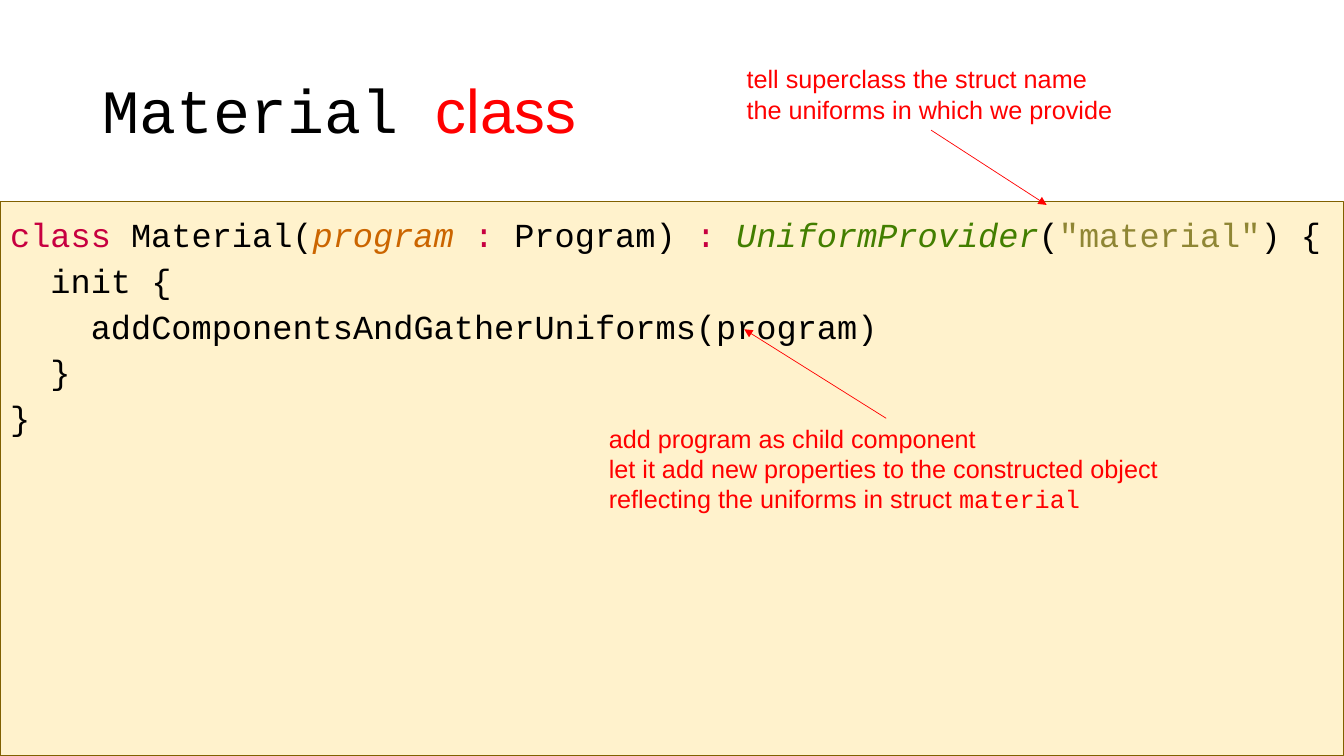
from collections import namedtuple
from dataclasses import dataclass

from lxml import etree
from pptx import Presentation
from pptx import util as u
from pptx.dml.color import RGBColor
from pptx.enum import shapes, text
from pptx.oxml import ns

Box = namedtuple("Box", "left top width height")
WIDTH, HEIGHT = u.Inches(13.33), u.Inches(7.5)
COLUMNS, ROWS = 160, 90


@dataclass(frozen=True)
class Theme:
    """Colours, fonts and sizes of the slide."""

    sans: str = "Arial"
    mono: str = "Courier New"
    title_size: int = 44
    code_size: int = 24
    note_size: int = 18
    ink: str = "000000"
    accent: str = "FF0000"
    panel: str = "FFF2CC"
    border: str = "806000"
    keyword: str = "C70040"
    parameter: str = "CB6500"
    supertype: str = "427E00"
    literal: str = "8F8634"


THEME = Theme()
TITLE = [
    ("Material ", THEME.ink, {"name": THEME.mono}),
    ("class", THEME.accent, {"name": THEME.sans}),
]
CODE = [
    [
        ("class ", THEME.keyword, {}),
        ("Material(", THEME.ink, {}),
        ("program ", THEME.parameter, {"italic": True}),
        (": ", THEME.keyword, {}),
        ("Program) ", THEME.ink, {}),
        (": ", THEME.keyword, {}),
        ("UniformProvider", THEME.supertype, {"italic": True}),
        ("(", THEME.ink, {}),
        ('"material"', THEME.literal, {}),
        (") {", THEME.ink, {}),
    ],
    [("  init {", THEME.ink, {})],
    [("    addComponentsAndGatherUniforms(program)", THEME.ink, {})],
    [("  }", THEME.ink, {})],
    [("}", THEME.ink, {})],
]
CHILD_NOTE = [
    [("add program as child component", THEME.accent, {})],
    [("let it add new properties to the constructed object", THEME.accent, {})],
    [
        ("reflecting the uniforms in struct ", THEME.accent, {}),
        ("material", THEME.accent, {"name": THEME.mono}),
    ],
]
STRUCT_NOTE = [
    [("tell superclass the struct name", THEME.accent, {})],
    [("the uniforms in which we provide", THEME.accent, {})],
]


def apply(target, values):
    """Set each named attribute on the target."""
    for name, value in values.items():
        setattr(target, name, value)


def grid(column, row):
    """Turn grid columns and rows into slide lengths."""
    return round(WIDTH * column / COLUMNS), round(HEIGHT * row / ROWS)


def place(shape, box):
    """Move a shape to a box of the grid."""
    left, top = grid(box.left, box.top)
    width, height = grid(box.width, box.height)
    apply(shape, {"left": left, "top": top, "width": width, "height": height})


def write(frame, lines, font, layout):
    """Write lines of coloured runs into a text frame."""
    for index, line in enumerate(lines):
        paragraph = frame.paragraphs[0] if index == 0 else frame.add_paragraph()
        properties = paragraph._p.get_or_add_pPr()
        properties.set("marL", "0")
        properties.set("indent", "0")
        etree.SubElement(properties, ns.qn("a:buNone"))
        apply(paragraph, {"alignment": text.PP_ALIGN.LEFT, "space_before": u.Pt(0), **layout})
        for words, color, changes in line:
            run = paragraph.add_run()
            run.text = words
            apply(run.font, {**font, **changes})
            run.font.color.rgb = RGBColor.from_string(color)


def add_title(slide, box):
    """Fill the title placeholder."""
    title = slide.shapes.title
    place(title, box)
    frame = title.text_frame
    apply(frame, {
        "word_wrap": True,
        "auto_size": text.MSO_AUTO_SIZE.NONE,
        "vertical_anchor": text.MSO_ANCHOR.MIDDLE,
    })
    write(frame, [TITLE], {"size": u.Pt(THEME.title_size)}, {"line_spacing": 0.9})


def add_code(slide, box):
    """Fill the body placeholder with the code listing."""
    panel = slide.placeholders[1]
    place(panel, box)
    panel.fill.solid()
    panel.fill.fore_color.rgb = RGBColor.from_string(THEME.panel)
    panel.line.color.rgb = RGBColor.from_string(THEME.border)
    panel.line.width = u.Pt(0.75)
    frame = panel.text_frame
    apply(frame, {
        "word_wrap": True,
        "auto_size": text.MSO_AUTO_SIZE.NONE,
        "vertical_anchor": text.MSO_ANCHOR.TOP,
        "margin_top": u.Inches(0.09),
    })
    font = {"name": THEME.mono, "size": u.Pt(THEME.code_size), "italic": False}
    write(frame, CODE, font, {"line_spacing": 1.07, "space_after": u.Pt(2)})


def add_callout(slide, box, lines, edge, tip):
    """Place a note with an arrow from the middle of its edge (0 top, 1 bottom)."""
    note = slide.shapes.add_textbox(0, 0, 0, 0)
    place(note, box)
    apply(note.text_frame, {"word_wrap": False, "auto_size": text.MSO_AUTO_SIZE.SHAPE_TO_FIT_TEXT})
    write(note.text_frame, lines, {"name": THEME.sans, "size": u.Pt(THEME.note_size)}, {})

    start = grid(box.left + box.width / 2, box.top + box.height * edge)
    arrow = slide.shapes.add_connector(shapes.MSO_CONNECTOR.STRAIGHT, *start, *grid(*tip))
    arrow.line.color.rgb = RGBColor.from_string(THEME.accent)
    arrow.line.width = u.Pt(0.5)
    etree.SubElement(arrow.line._get_or_add_ln(), ns.qn("a:tailEnd"), type="triangle")
    etree.SubElement(arrow._element.spPr, ns.qn("a:effectLst"))


def main():
    """Build and save the slide."""
    presentation = Presentation()
    apply(presentation, {"slide_width": WIDTH, "slide_height": HEIGHT})
    slide = presentation.slides.add_slide(presentation.slide_layouts[1])
    add_title(slide, Box(11, 4.8, 138, 17.4))
    add_code(slide, Box(0, 24, COLUMNS, ROWS - 24))
    add_callout(slide, Box(71.3, 49.8, 68.4, 12.1), CHILD_NOTE, 0, (88.6, 39.2))
    add_callout(slide, Box(87.7, 7, 46.3, 8.5), STRUCT_NOTE, 1, (124.6, 24.4))
    presentation.save("out.pptx")


if __name__ == "__main__":
    main()
